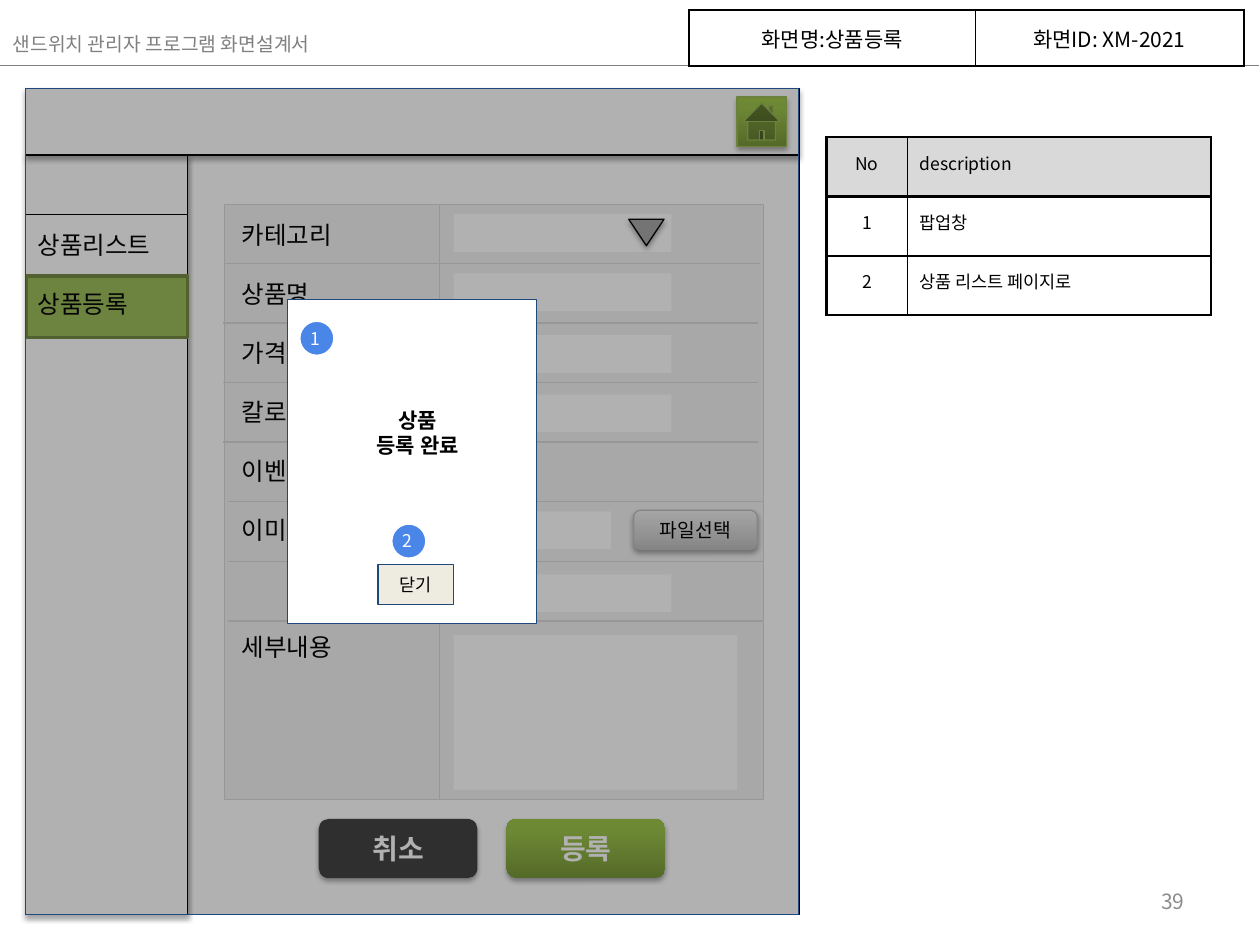
from lxml import etree
from pptx import Presentation
from pptx.dml.color import RGBColor
from pptx.enum import shapes as kinds, text
from pptx.oxml import parse_xml
from pptx.oxml.ns import nsdecls, qn
from pptx.util import Inches, Pt

FONT = "Noto Sans CJK KR"
KIND = kinds.MSO_SHAPE
ALIGN = text.PP_ALIGN
TOP, MIDDLE = text.MSO_ANCHOR.TOP, text.MSO_ANCHOR.MIDDLE
BLACK, WHITE, RULE, NAVY, BADGE = "000000", "FFFFFF", "D9D9D9", "1F497D", "4A86E8"
GREEN = [(0, "779737"), (80, "9BC348"), (100, "9DC746")]
GREY = [(0, "BDBDBD"), (35, "D1D1D1"), (100, "EEEEEE")]


def color(value):
    return RGBColor.from_string(value)


def emu(*lengths):
    return [Inches(length) for length in lengths]


def paint(fill, value):
    """Fill with a hex colour, a list of gradient stops, or nothing."""
    if value is None:
        fill.background()
    elif isinstance(value, list):
        fill.gradient()
        stops = "".join(f'<a:gs pos="{position * 1000}"><a:srgbClr val="{stop}"/></a:gs>'
                        for position, stop in value)
        gradient = parse_xml(f'<a:gradFill {nsdecls("a")} rotWithShape="1"><a:gsLst>{stops}'
                             '</a:gsLst><a:lin ang="16200000" scaled="0"/></a:gradFill>')
        properties = fill._xPr
        properties.replace(properties.find(qn("a:gradFill")), gradient)
    else:
        fill.solid()
        fill.fore_color.rgb = color(value)


def add_shadow(shape):
    effects = shape._element.spPr.find(qn("a:effectLst"))
    effects.append(parse_xml(
        f'<a:outerShdw {nsdecls("a")} blurRad="{Pt(3.1)}" dist="{Pt(1.8)}" dir="5400000" '
        'rotWithShape="0"><a:srgbClr val="000000"><a:alpha val="35000"/></a:srgbClr></a:outerShdw>'))


def add_box(shapes, kind, box, fill=None, line=None, width=0.75, shadow=False):
    shape = shapes.add_shape(kind, *emu(*box))
    paint(shape.fill, fill)
    paint(shape.line.fill, line)
    if line:
        shape.line.width = Pt(width)
    shape.shadow.inherit = False
    if shadow:
        add_shadow(shape)
    return shape


def add_line(shapes, start, end, line=BLACK, width=0.75):
    connector = shapes.add_connector(kinds.MSO_CONNECTOR.STRAIGHT, *emu(*start, *end))
    connector.line.color.rgb = color(line)
    connector.line.width = Pt(width)
    etree.SubElement(connector._element.spPr, qn("a:effectLst"))


def add_run(paragraph, words, size, ink=BLACK, bold=False, align=ALIGN.LEFT):
    paragraph.alignment = align
    run = paragraph.add_run()
    run.text = words
    run.font.name, run.font.size, run.font.bold = FONT, Pt(size), bold
    run.font.color.rgb = color(ink)
    etree.SubElement(run._r.rPr, qn("a:ea")).set("typeface", FONT)


def write(shape, lines, size, gaps=None, anchor=TOP, wrap=True, inset=None, **style):
    """Set one paragraph per line; gaps are the blank line heights before each."""
    frame = shape.text_frame
    frame.auto_size = text.MSO_AUTO_SIZE.NONE
    frame.word_wrap, frame.vertical_anchor = wrap, anchor
    frame.margin_left = frame.margin_right = Inches(0.1)
    frame.margin_top = frame.margin_bottom = Inches(inset or 0.05)
    for index, words in enumerate(lines):
        paragraph = frame.add_paragraph() if index else frame.paragraphs[0]
        paragraph.line_spacing = Pt(size * 1.2)
        paragraph.space_before = Pt(gaps[index] * size * 1.2 if gaps else 0)
        add_run(paragraph, words, size, **style)


def add_text(shapes, box, lines, size, **style):
    write(shapes.add_textbox(*emu(*box)), lines, size, **style)


def set_borders(cell, widths):
    """Draw black left, right, top and bottom borders of the given point widths."""
    properties = cell._tc.get_or_add_tcPr()
    for position, (side, width) in enumerate(zip(("lnL", "lnR", "lnT", "lnB"), widths)):
        properties.insert(position, parse_xml(
            f'<a:{side} {nsdecls("a")} w="{Pt(width)}"><a:solidFill><a:srgbClr val="000000"/>'
            f'</a:solidFill></a:{side}>'))


def add_grid(shapes, left, top, columns, row_height, rows, size, anchor, aligns, header=None):
    table = shapes.add_table(len(rows), len(columns), *emu(
        left, top, sum(columns), row_height * len(rows))).table
    for column, width in zip(table.columns, columns):
        column.width = Inches(width)
    for row_index, row in enumerate(rows):
        table.rows[row_index].height = Inches(row_height)
        for index, words in enumerate(row):
            cell = table.cell(row_index, index)
            paint(cell.fill, header if row_index == 0 else None)
            cell.margin_left = cell.margin_right = Inches(0.1)
            cell.margin_top = cell.margin_bottom = Inches(0.1)
            cell.vertical_anchor = anchor
            add_run(cell.text_frame.paragraphs[0], words, size, align=aligns[index])
            set_borders(cell, (0.75 if index else 1.5, 0.75 if index == 0 else 1.25, 1.5, 1.5))


def add_page_header(slide):
    title = slide.shapes.title
    title.left, title.top, title.width, title.height = emu(0, 0.21, 4.28, 0.29)
    write(title, ["샌드위치 관리자 프로그램 화면설계서"], 11, ink="808080")
    add_line(slide.shapes, (0, 0.52), (9.99, 0.52), "808080", 1)
    add_grid(slide.shapes, 5.47, 0.08, (2.27, 2.13), 0.42,
             [("화면명:상품등록", "화면ID: XM-2021")], 12, MIDDLE, [ALIGN.CENTER] * 2)


def add_app_frame(shapes, left, top, width, height):
    add_box(shapes, KIND.RECTANGLE, (left, top + 0.53, 1.29, height - 0.53),
            WHITE, BLACK, shadow=True)
    add_box(shapes, KIND.RECTANGLE, (left, top, width, height), None, BLACK, 0.25)
    add_box(shapes, KIND.RECTANGLE, (left, top, width, 0.53), WHITE, BLACK, shadow=True)
    add_box(shapes, KIND.ACTION_BUTTON_HOME, (left + width - 0.49, top + 0.07, 0.39, 0.39),
            GREEN, "98B955", shadow=True)


def add_menu(shapes, left, top):
    for index in range(3):
        y = top + index * 0.485
        add_line(shapes, (left, y), (left + 1.29, y))
    add_box(shapes, KIND.RECTANGLE, (left + 0.01, top + 0.49, 1.28, 0.49), "9BBB59", "738A42", 2)
    add_text(shapes, (left, top + 0.08, 1.18, 0.81), ["상품리스트", "상품등록"], 14,
             gaps=(0, 1), wrap=False)


def add_form(shapes, left, top, width, height):
    add_box(shapes, KIND.RECTANGLE, (left, top, width, height), "F2F2F2", RULE, 0.25)
    add_line(shapes, (left + 1.71, top), (left + 1.71, top + height), RULE)
    labels = ["카테고리", "상품명", "가격", "칼로리", "이벤트", "이미지", "세부내용"]
    add_text(shapes, (left + 0.04, top + 0.08, 0.99, 3.64), labels, 14,
             gaps=(0, 1, 1, 1, 1, 1, 3), wrap=False)
    for index, shift in enumerate((0, -0.01, -0.01, -0.01, 0.03, 0.03, 0.03)):
        x, y = left + shift, top + 0.47 + index * 0.473
        add_line(shapes, (x, y), (x + 4.25, y), RULE)
    fields = [(0.08, 1.73, 0.3), (0.55, 1.73, 0.3), (1.04, 1.73, 0.3), (1.51, 1.73, 0.3),
              (2.44, 1.25, 0.3), (2.94, 1.73, 0.3), (3.42, 2.25, 1.23)]
    for offset, field_width, field_height in fields:
        add_box(shapes, KIND.RECTANGLE, (left + 1.82, top + offset, field_width, field_height),
                WHITE)
    add_box(shapes, KIND.FLOWCHART_MERGE, (left + 3.21, top + 0.12, 0.28, 0.21),
            "A6A6A6", BLACK, shadow=True)
    choose = add_box(shapes, KIND.ROUNDED_RECTANGLE, (left + 3.25, top + 2.43, 0.98, 0.31),
                     GREY, "BFBFBF", shadow=True)
    write(choose, ["파일선택"], 11, anchor=MIDDLE, align=ALIGN.CENTER)


def add_form_buttons(shapes, left, top):
    group = shapes.add_group_shape().shapes
    for index, (words, fill) in enumerate((("취소", "404040"), ("등록", GREEN))):
        button = add_box(group, KIND.ROUNDED_RECTANGLE, (left + index * 1.49, top, 1.26, 0.47),
                         fill, shadow=True)
        write(button, [words], 16, anchor=MIDDLE, ink=WHITE, bold=True, align=ALIGN.CENTER)


def add_dim_overlay(shapes, box):
    overlay = add_box(shapes, KIND.RECTANGLE, box, "0D0D0D", NAVY)
    tint = overlay._element.spPr.find(qn("a:solidFill"))[0]
    etree.SubElement(tint, qn("a:alpha")).set("val", "32000")


def add_badge(shapes, left, top, number):
    group = shapes.add_group_shape().shapes
    add_box(group, KIND.OVAL, (left, top, 0.27, 0.27), BADGE, WHITE)
    add_text(group, (left - 0.01, top - 0.05, 0.34, 0.34), [number], 10, inset=0.1, ink=WHITE)


def add_popup(shapes, left, top, width, height):
    add_box(shapes, KIND.RECTANGLE, (left, top, width, height), WHITE, NAVY)
    close = add_box(shapes, KIND.RECTANGLE, (left + 0.72, top + 2.1, 0.6, 0.32), "EEECE1", NAVY)
    write(close, ["닫기"], 10, anchor=MIDDLE, align=ALIGN.CENTER)
    add_text(shapes, (left + 0.31, top + 0.47, 1.45, 1.17), ["상품", "등록 완료"], 12,
             anchor=MIDDLE, inset=0.1, bold=True, align=ALIGN.CENTER)
    add_badge(shapes, left + 0.1, top + 0.17, "1")
    add_badge(shapes, left + 0.83, top + 1.78, "2")


def main():
    presentation = Presentation()
    presentation.slide_width, presentation.slide_height = emu(10, 7.5)
    slide = presentation.slides.add_slide(presentation.slide_layouts[5])
    shapes = slide.shapes
    screen = (0.2, 0.7, 6.14, 6.56)
    add_page_header(slide)
    add_grid(shapes, 6.56, 1.09, (0.64, 2.41), 0.47,
             [("No", "description"), ("1", "팝업창"), ("2", "상품 리스트 페이지로")],
             10, TOP, (ALIGN.CENTER, ALIGN.LEFT), RULE)
    add_app_frame(shapes, *screen)
    add_menu(shapes, 0.2, 1.7)
    add_form(shapes, 1.78, 1.62, 4.28, 4.72)
    add_form_buttons(shapes, 2.53, 6.5)
    add_dim_overlay(shapes, screen)
    add_popup(shapes, 2.28, 2.38, 1.98, 2.57)
    add_text(shapes, (7.17, 6.95, 2.33, 0.4), ["39"], 12, anchor=MIDDLE, ink="8C8C8C",
             align=ALIGN.RIGHT)
    presentation.save("out.pptx")


if __name__ == "__main__":
    main()
